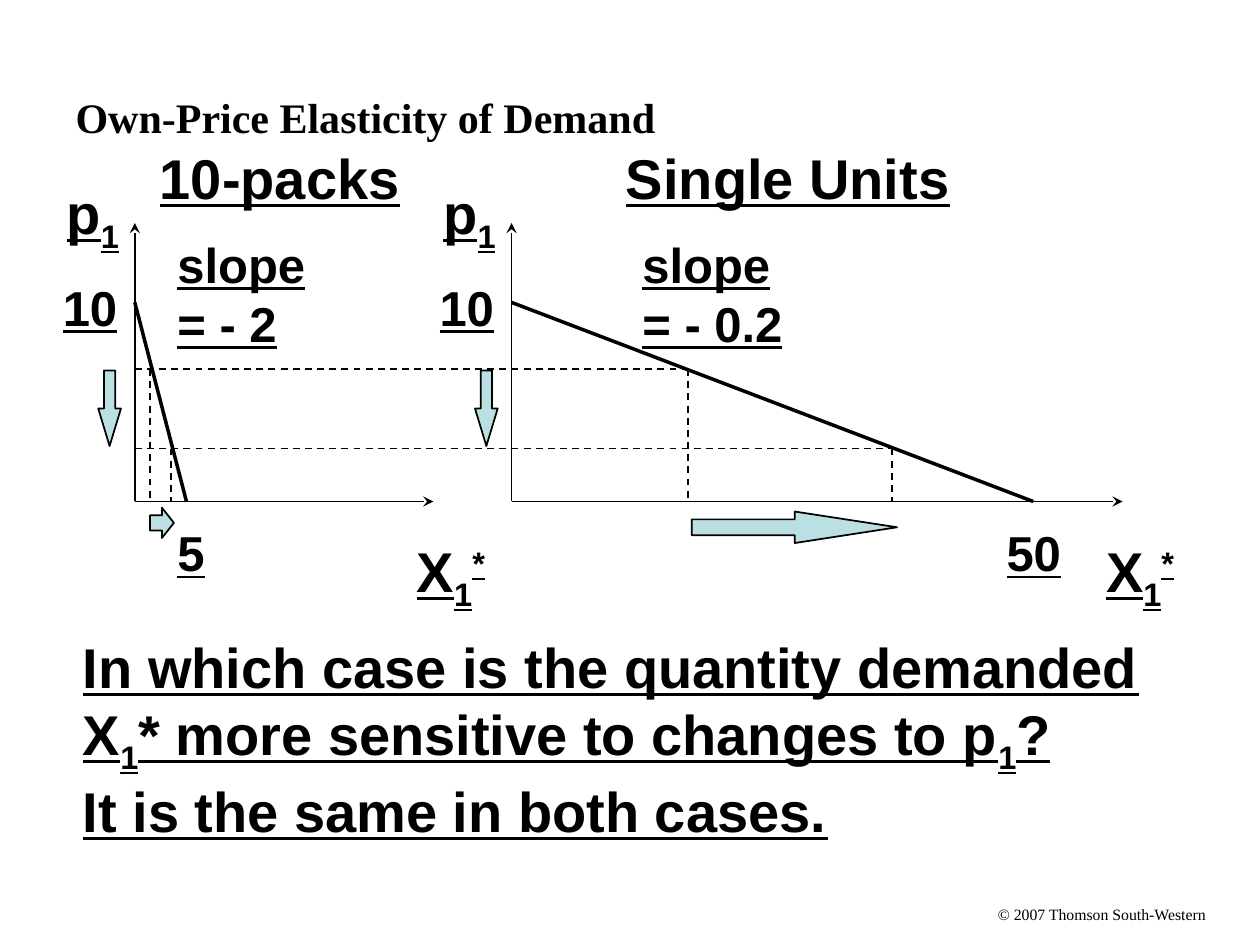
import pptx
import pptx.util
import pptx.dml.color
import pptx.enum.dml
import pptx.enum.shapes
import pptx.enum.text
import pptx.oxml.ns
from lxml import etree

Inches = pptx.util.Inches
Shape = pptx.enum.shapes.MSO_SHAPE
SUB, SUPER = -25000, 30000
P1 = ("p", ("1", SUB))
X1_STAR = ("X", ("1", SUB), ("*", SUPER))


def color(value):
    return pptx.dml.color.RGBColor.from_string(value)


class DemandSlide:
    ink = "000000"
    arrow_fill = "BBE0E3"
    label_font = "Arial"
    text_font = "Times New Roman"

    def __init__(self, presentation):
        self.slide = presentation.slides.add_slide(presentation.slide_layouts[5])

    def style(self, paragraph, size, name, bold=False, underline=None):
        font = paragraph.font
        font.size = pptx.util.Pt(size)
        font.name = name
        font.bold = bold
        font.underline = underline
        font.color.rgb = color(self.ink)

    def title(self, text):
        heading = self.slide.shapes.title
        heading.left, heading.top = Inches(0.5), Inches(0.3)
        heading.width, heading.height = Inches(9), Inches(1.25)
        heading.text_frame.text = text
        heading.text_frame.vertical_anchor = pptx.enum.text.MSO_ANCHOR.MIDDLE
        paragraph = heading.text_frame.paragraphs[0]
        paragraph.alignment = pptx.enum.text.PP_ALIGN.LEFT
        self.style(paragraph, 24, self.text_font, bold=True)

    def text_box(self, box, wrap=False):
        frame = self.slide.shapes.add_textbox(*map(Inches, box)).text_frame
        frame.word_wrap = wrap
        frame.auto_size = pptx.enum.text.MSO_AUTO_SIZE.SHAPE_TO_FIT_TEXT
        return frame

    def label(self, box, *pieces, size=32, wrap=False):
        paragraph = self.text_box(box, wrap).paragraphs[0]
        self.style(paragraph, size, self.label_font, bold=True, underline=True)
        for piece in pieces:
            text, baseline = (piece, 0) if isinstance(piece, str) else piece
            for index, line in enumerate(text.split("\n")):
                if index:
                    paragraph.add_line_break()
                run = paragraph.add_run()
                run.text = line
                if baseline:
                    run._r.get_or_add_rPr().set("baseline", str(baseline))

    def copyright(self, box, text):
        frame = self.text_box(box)
        frame.margin_left = frame.margin_right = 0
        frame.margin_top = frame.margin_bottom = 0
        frame.text = text
        self.style(frame.paragraphs[0], 9, self.text_font)

    def line(self, start, end, width=1, dashed=False, arrow=False):
        connector = self.slide.shapes.add_connector(
            pptx.enum.shapes.MSO_CONNECTOR.STRAIGHT, *map(Inches, start + end))
        connector.line.color.rgb = color(self.ink)
        connector.line.width = pptx.util.Pt(width)
        if dashed:
            connector.line.dash_style = pptx.enum.dml.MSO_LINE.DASH
        if arrow:
            etree.SubElement(connector.line._get_or_add_ln(),
                             pptx.oxml.ns.qn("a:tailEnd"), type="stealth")
        etree.SubElement(connector._element.spPr, pptx.oxml.ns.qn("a:effectLst"))

    def block_arrow(self, kind, box, head):
        arrow = self.slide.shapes.add_shape(kind, *map(Inches, box))
        arrow.adjustments[0], arrow.adjustments[1] = 0.5, head
        arrow.shadow.inherit = False
        arrow.fill.solid()
        arrow.fill.fore_color.rgb = color(self.arrow_fill)
        arrow.line.color.rgb = color(self.ink)
        arrow.line.width = pptx.util.Pt(1)

    def demand_graph(self, origin, axis_end, intercept, quantities):
        base, high, low = 3.98, 2.93, 3.56
        self.line((origin, base), (origin, 1.77), arrow=True)
        self.line((origin, base), (axis_end, base), arrow=True)
        self.line((origin, 2.4), (intercept, base), width=2)
        for quantity, price in zip(quantities, (high, low)):
            self.line((quantity, price), (quantity, base), dashed=True)
        self.label((origin - 0.64, 1.37, 0.62, 0.71), *P1)
        self.label((origin - 0.67, 2.15, 0.63, 0.57), "10", size=28)
        self.label((axis_end - 0.23, 4.21, 0.78, 0.71), *X1_STAR, wrap=True)
        self.block_arrow(Shape.DOWN_ARROW, (origin - 0.29, 2.94, 0.18, 0.6), 1.65)


def main():
    presentation = pptx.Presentation()
    presentation.slide_width, presentation.slide_height = Inches(10), Inches(7.5)
    page = DemandSlide(presentation)
    page.title("Own-Price Elasticity of Demand")

    page.demand_graph(1.07, 3.44, 1.48, (1.19, 1.36))
    page.demand_graph(4.06, 8.91, 8.2, (5.46, 7.08))
    for price, reach in ((2.93, 5.44), (3.56, 7.08)):
        page.line((1.07, price), (reach, price), dashed=True)
    page.block_arrow(Shape.RIGHT_ARROW, (1.19, 4.03, 0.19, 0.24), 0.5)
    page.block_arrow(Shape.RIGHT_ARROW, (5.49, 4.06, 1.63, 0.25), 3.25)

    page.label((1.17, 1.09, 2.11, 0.63), "10-packs")
    page.label((4.87, 1.09, 2.77, 0.63), "Single Units")
    page.label((1.31, 1.81, 1.22, 1.04), "slope\n= - 2", size=28)
    page.label((5, 1.81, 1.31, 1.04), "slope\n= - 0.2", size=28)
    page.label((1.31, 4.1, 0.42, 0.57), "5", size=28)
    page.label((7.89, 4.1, 0.63, 0.57), "50", size=28)
    page.label((0.56, 4.97, 8.59, 1.78),
               "In which case is the quantity demanded\nX", ("1", SUB),
               "* more sensitive to changes to p", ("1", SUB),
               "?\nIt is the same in both cases.")
    page.copyright((7.92, 7.18, 1.66, 0.15), "© 2007 Thomson South-Western")
    presentation.save("out.pptx")


if __name__ == "__main__":
    main()
